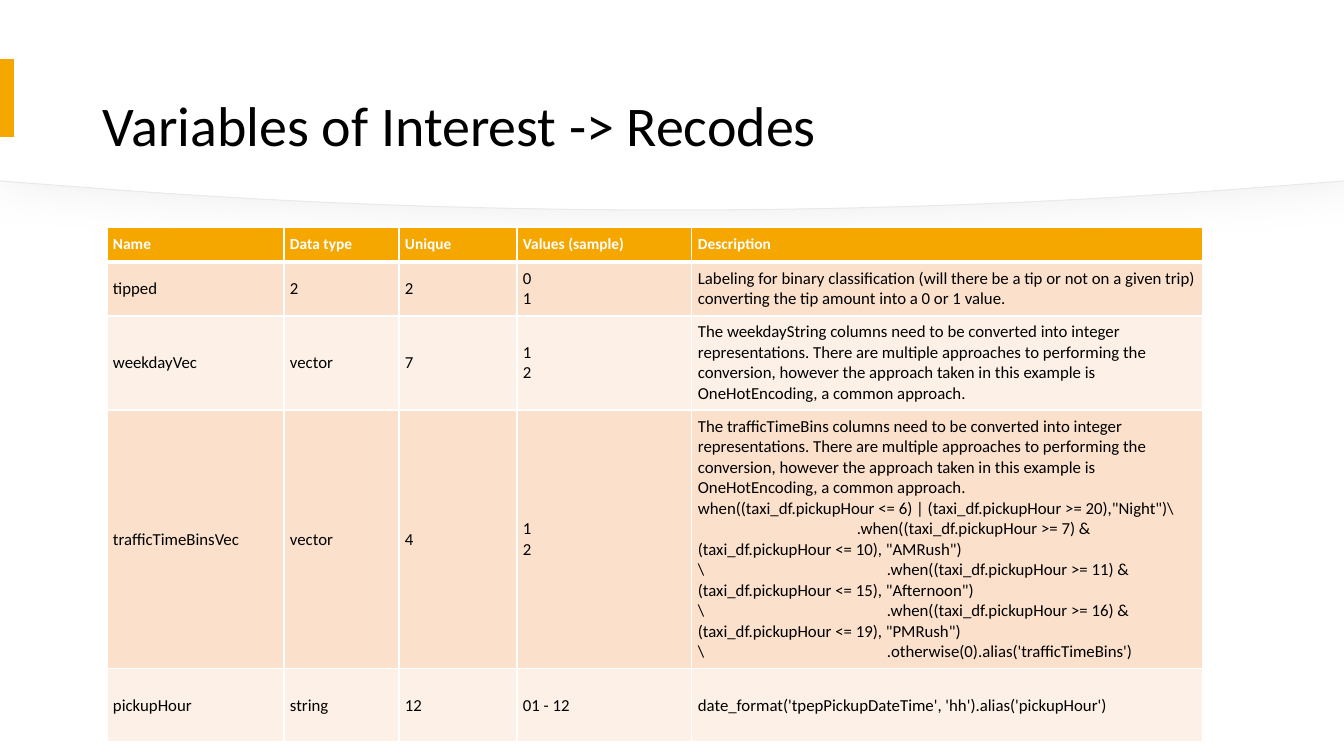
import pptx
import pptx.dml.color
import pptx.enum.shapes
import pptx.enum.text
import pptx.oxml
import pptx.oxml.ns
import pptx.util

SLIDE_WIDTH, SLIDE_HEIGHT = 1344, 756
EMU_PER_PX = 12192000 / SLIDE_WIDTH
COLORS = {
    "white": "FFFFFF", "black": "000000", "accent": "F5A700",
    "outline": "E9E9E9", "shadow": "D9D9D9",
    "band_dark": "FBE1CC", "band_light": "FDF1E7",
}
COLUMN_WIDTHS = [177, 115, 118, 175, 511]
ROW_HEIGHTS = [35, 54, 94, 259, 73]
TAB_STOPS = [159, 189]
ENCODING_NOTE = (
    "The {} columns need to be converted into integer representations. "
    "There are multiple approaches to performing the conversion, however the "
    "approach taken in this example is OneHotEncoding, a common approach."
)
TIME_BINS = "\v".join([
    'when((taxi_df.pickupHour <= 6) | (taxi_df.pickupHour >= 20),"Night")\\',
    '\t.when((taxi_df.pickupHour >= 7) & (taxi_df.pickupHour <= 10), "AMRush")',
    '\\\t\t.when((taxi_df.pickupHour >= 11) & (taxi_df.pickupHour <= 15), "Afternoon")',
    '\\\t\t.when((taxi_df.pickupHour >= 16) & (taxi_df.pickupHour <= 19), "PMRush")',
    "\\\t\t.otherwise(0).alias('trafficTimeBins')",
])
VARIABLES = [
    ["Name", "Data type", "Unique", "Values (sample)", "Description"],
    ["tipped", "2", "2", "0\n1",
     "Labeling for binary classification (will there be a tip or not on a given "
     "trip) converting the tip amount into a 0 or 1 value."],
    ["weekdayVec", "vector", "7", "1\v2", ENCODING_NOTE.format("weekdayString")],
    ["trafficTimeBinsVec", "vector", "4", "1\n2",
     ENCODING_NOTE.format("trafficTimeBins") + "\n" + TIME_BINS],
    ["pickupHour", "string", "12", "01 - 12",
     "date_format('tpepPickupDateTime', 'hh').alias('pickupHour')"],
]
NAMESPACE = pptx.oxml.ns.nsdecls("a")


def px(length):
    return pptx.util.Emu(round(length * EMU_PER_PX))


def rgb(name):
    return pptx.dml.color.RGBColor.from_string(COLORS[name])


class SlideBuilder:
    def __init__(self, slide, font_name):
        self.slide = slide
        self.font_name = font_name

    def paint(self, shape, fill, line=None):
        shape.shadow.inherit = False
        shape.fill.solid()
        shape.fill.fore_color.rgb = rgb(fill)
        if line:
            shape.line.color.rgb = rgb(line)
            shape.line.width = pptx.util.Pt(0.75)
        else:
            shape.line.fill.background()

    def style_text(self, text_frame, size, color, bold=False):
        formats = {"name": self.font_name, "size": pptx.util.Pt(size), "bold": bold}
        for paragraph in text_frame.paragraphs:
            for run in paragraph.runs:
                for key, value in formats.items():
                    setattr(run.font, key, value)
                run.font.color.rgb = rgb(color)

    def rectangle(self, left, top, width, height, fill):
        shape = self.slide.shapes.add_shape(
            pptx.enum.shapes.MSO_SHAPE.RECTANGLE,
            px(left), px(top), px(width), px(height))
        self.paint(shape, fill)

    def curved_banner(self, bottom, line=None):
        """Draw a full-width band whose lower edge is two Bezier curves."""
        left_half = [(0, bottom - 29), (92, bottom - 22),
                     (271, bottom - 8), (466, bottom)]
        right_half = [(SLIDE_WIDTH - x, y) for x, y in left_half]
        points = [(SLIDE_WIDTH, 0), *right_half, (SLIDE_WIDTH // 2, bottom),
                  *reversed(left_half)]
        builder = self.slide.shapes.build_freeform(0, 0, scale=EMU_PER_PX)
        builder.add_line_segments(points, close=True)
        shape = builder.convert_to_shape()
        segments = shape._element.findall(".//" + pptx.oxml.ns.qn("a:lnTo"))
        for start in (3, 6):
            self.merge_into_curve(segments[start:start + 3])
        self.paint(shape, "white", line)
        return shape

    def merge_into_curve(self, segments):
        curve = pptx.oxml.parse_xml(f"<a:cubicBezTo {NAMESPACE}/>")
        segments[0].addprevious(curve)
        for segment in segments:
            curve.append(segment[0])
            segment.getparent().remove(segment)

    def add_shadow(self, shape):
        effects = shape._element.spPr.find(pptx.oxml.ns.qn("a:effectLst"))
        effects.append(pptx.oxml.parse_xml(
            f'<a:outerShdw {NAMESPACE} blurRad="381000" '
            'dist="50800" dir="180000" algn="t" rotWithShape="0">'
            f'<a:srgbClr val="{COLORS["shadow"]}"><a:alpha val="45000"/>'
            '</a:srgbClr></a:outerShdw>'))

    def title(self, text, left, top, width, height, top_inset):
        box = self.slide.shapes.add_textbox(px(left), px(top), px(width), px(height))
        frame = box.text_frame
        frame.text = text
        frame.word_wrap = True
        frame.margin_top = px(top_inset)
        frame.vertical_anchor = pptx.enum.text.MSO_ANCHOR.MIDDLE
        frame.paragraphs[0].line_spacing = 0.9
        self.style_text(frame, 40, "black")

    def add_tab_stops(self, paragraph):
        stops = "".join(f'<a:tab pos="{px(stop)}" algn="l"/>' for stop in TAB_STOPS)
        paragraph._p.get_or_add_pPr().insert(0, pptx.oxml.parse_xml(
            f"<a:tabLst {NAMESPACE}>{stops}</a:tabLst>"))

    def add_borders(self, cell, top_points, bottom_points):
        widths = {"L": 1, "R": 1, "T": top_points, "B": bottom_points}
        for index, (side, points) in enumerate(widths.items()):
            cell._tc.get_or_add_tcPr().insert(index, pptx.oxml.parse_xml(
                f'<a:ln{side} {NAMESPACE} w="{pptx.util.Pt(points)}"><a:solidFill>'
                f'<a:srgbClr val="{COLORS["white"]}"/></a:solidFill></a:ln{side}>'))

    def fill_cell(self, cell, text, row):
        header = row == 0
        cell.text_frame.text = text
        cell.vertical_anchor = pptx.enum.text.MSO_ANCHOR.MIDDLE
        for side in ("left", "top", "right", "bottom"):
            setattr(cell, f"margin_{side}", px(6))
        band = "band_dark" if row % 2 else "band_light"
        cell.fill.solid()
        cell.fill.fore_color.rgb = rgb("accent" if header else band)
        self.add_borders(cell, 3 if row == 1 else 1, 3 if header else 1)
        self.style_text(cell.text_frame, 11 if header else 12,
                        "white" if header else "black", header)
        for paragraph in cell.text_frame.paragraphs:
            if "\t" in paragraph.text:
                self.add_tab_stops(paragraph)

    def table(self, rows, left, top):
        table = self.slide.shapes.add_table(
            len(rows), len(COLUMN_WIDTHS), px(left), px(top),
            px(sum(COLUMN_WIDTHS)), px(sum(ROW_HEIGHTS))).table
        for column, width in zip(table.columns, COLUMN_WIDTHS):
            column.width = px(width)
        for row, height in zip(table.rows, ROW_HEIGHTS):
            row.height = px(height)
        for row_index, texts in enumerate(rows):
            for column_index, text in enumerate(texts):
                self.fill_cell(table.cell(row_index, column_index), text, row_index)


def main():
    presentation = pptx.Presentation()
    presentation.slide_width = px(SLIDE_WIDTH)
    presentation.slide_height = px(SLIDE_HEIGHT)
    slide = presentation.slides.add_slide(presentation.slide_layouts[6])
    builder = SlideBuilder(slide, "Calibri")
    builder.add_shadow(builder.curved_banner(210, "outline"))
    builder.curved_banner(209)
    builder.title("Variables of Interest -> Recodes", 93, 28, 1159, 140, 66)
    builder.rectangle(0, 59, 14, 78, "accent")
    builder.table(VARIABLES, 107, 227)
    presentation.save("out.pptx")


if __name__ == "__main__":
    main()
